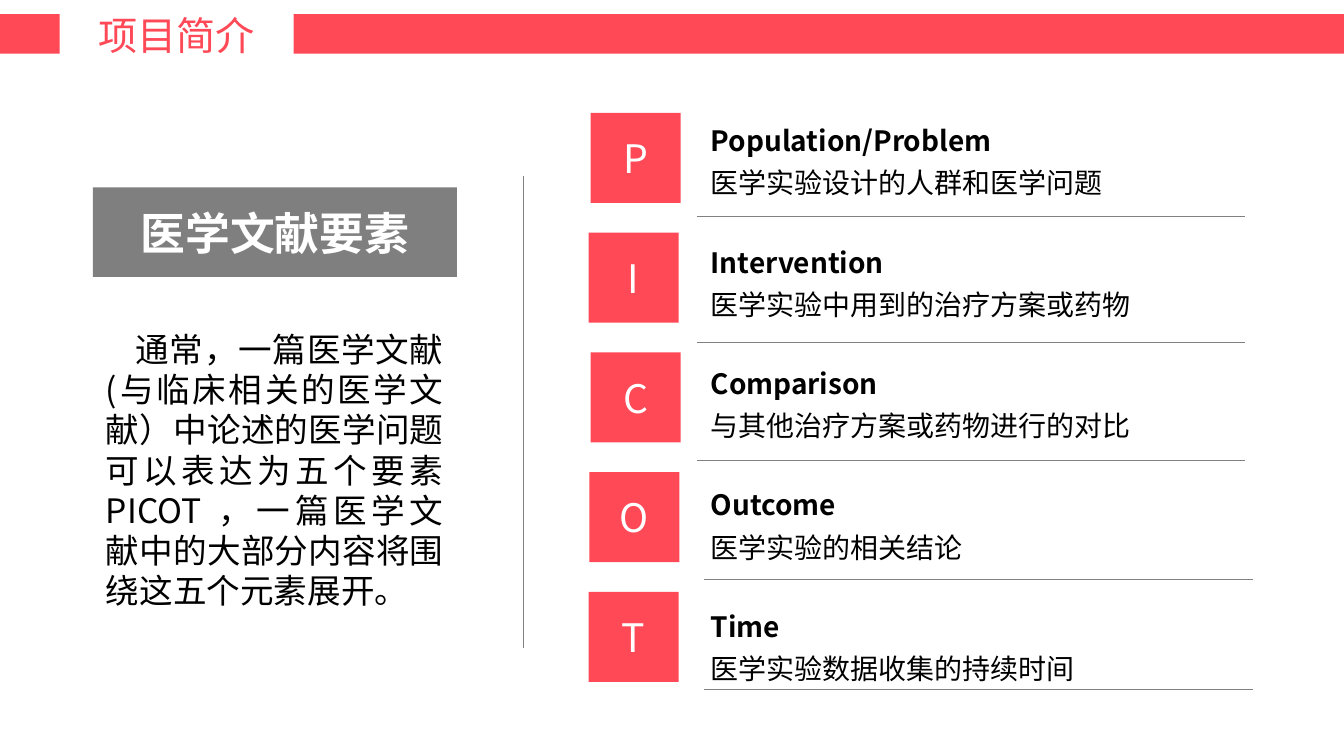
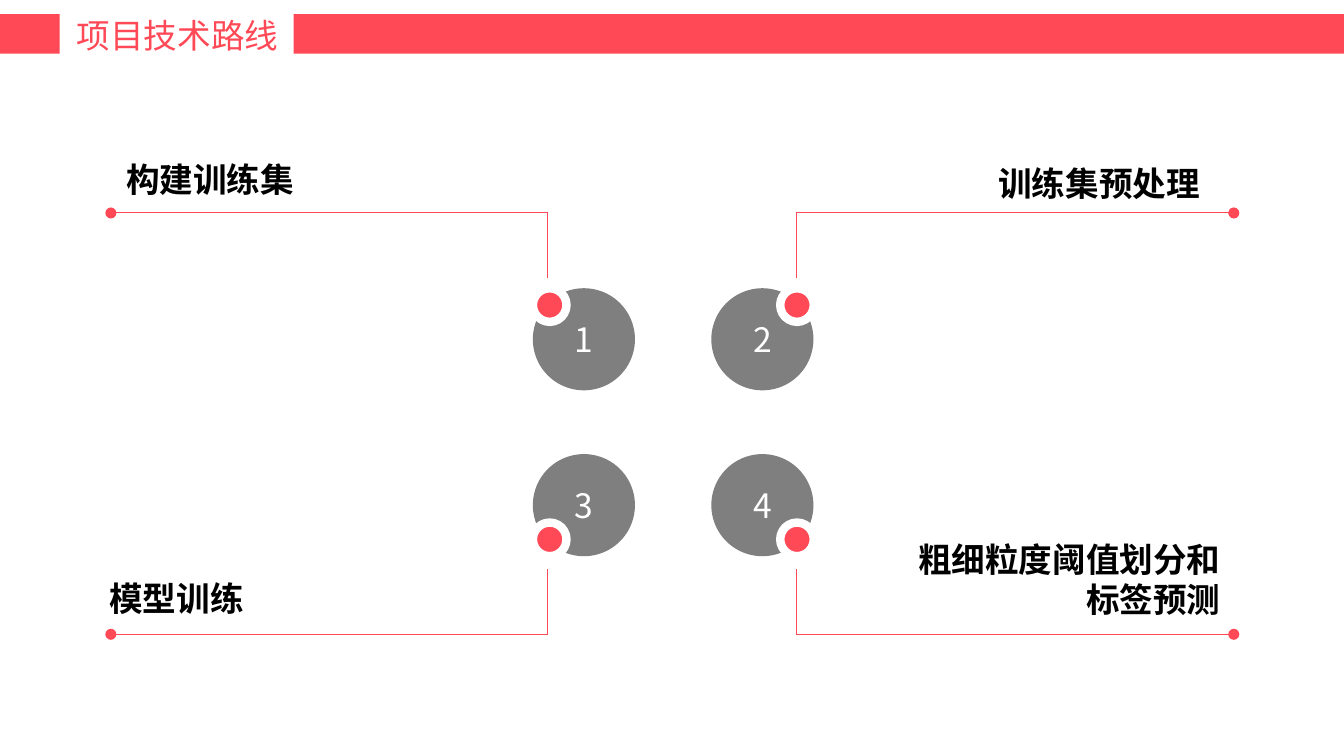
"""Build two slides: the PICOT elements and the four-step technical route."""
import lxml.etree
import pptx
import pptx.dml.color
import pptx.enum.shapes
import pptx.enum.text
import pptx.oxml.ns
import pptx.util

RED, GREY, RULE, WHITE, BLACK = "FF4957", "7F7F7F", "808080", "FFFFFF", "000000"
SANS = "Noto Sans CJK SC"
hue = pptx.dml.color.RGBColor.from_string
qn = pptx.oxml.ns.qn
Pt = pptx.util.Pt
Kind = pptx.enum.shapes.MSO_SHAPE
Align = pptx.enum.text.PP_ALIGN
Fit = pptx.enum.text.MSO_AUTO_SIZE
Anchor = pptx.enum.text.MSO_ANCHOR

deck = pptx.Presentation()
deck.slide_width = pptx.util.Inches(10)
deck.slide_height = deck.slide_width * 9 // 16
deck.element.find(qn("p:sldSz")).attrib.pop("type", None)
cell = deck.slide_width // 100


def put(page, box, kind=None, fill=None):
    """Add a filled shape, or a text box if no kind is given, at grid cells."""
    spot = [round(n * cell) for n in box]
    if kind is None:
        shape = page.shapes.add_textbox(*spot)
        shape.text_frame.word_wrap = True
        return shape
    shape = page.shapes.add_shape(kind, *spot)
    shape.shadow.inherit = False
    shape.fill.solid()
    shape.fill.fore_color.rgb = hue(fill)
    shape.line.fill.background()
    return shape


def write(shape, text, size, tint=BLACK, bold=False, align=Align.LEFT,
          gap=0, indent=0, face=SANS):
    """Add one paragraph holding one run."""
    frame = shape.text_frame
    para = frame.paragraphs[0]
    if para.runs:
        para = frame.add_paragraph()
    para.alignment = align
    para.space_before = Pt(gap)
    if indent:
        para._p.get_or_add_pPr().set("indent", str(round(indent * cell)))
    run = para.add_run()
    run.text = text
    font = run.font
    font.size, font.bold, font.name = Pt(size), bold, face
    font.color.rgb = hue(tint)
    east = lxml.etree.SubElement(run._r.get_or_add_rPr(), qn("a:ea"))
    east.set("typeface", SANS)


layout = deck.slide_layouts[5]
heads = [
    ("项目简介", 21, SANS, (6.5, 0.45, 13.3, 4.3)),
    ("项目技术路线", 18, "Montserrat", (4.9, 0.75, 16.6, 3.7)),
]
pages = []
for text, size, face, box in heads:
    page = deck.slides.add_slide(layout)
    title = page.shapes.title
    title.left, title.top, title.width, title.height = [round(n * cell) for n in box]
    frame = title.text_frame
    frame.word_wrap = False
    frame.auto_size = Fit.SHAPE_TO_FIT_TEXT
    frame.vertical_anchor = Anchor.MIDDLE
    frame.margin_left = frame.margin_right = round(0.7 * cell)
    frame.margin_top = frame.margin_bottom = round(0.4 * cell)
    write(title, text, size, RED, align=Align.CENTER, face=face)
    pages.append(page)
intro, route = pages

for left, width in [(0, 4.45), (21.85, 78.15)]:
    band = put(intro, (left, 1.05, width, 2.95), Kind.RECTANGLE, RED)
    layout.shapes.element.append(band.element)

topic = put(intro, (6.9, 13.95, 27.1, 6.65), Kind.RECTANGLE, GREY)
write(topic, "医学文献要素", 24, WHITE, True, Align.CENTER)
body = put(intro, (6.9, 23.95, 27.1, 25.9))
write(body, "通常，一篇医学文献(与临床相关的医学文献）中论述的医学问题可以表达为五个要素"
      "PICOT ，一篇医学文献中的大部分内容将围绕这五个元素展开。",
      18, align=Align.JUSTIFY, gap=4.5, indent=2.2)

lines = [(intro, (38.95, 13.1, 38.95, 48.25), RULE, False)]
items = [
    ("Population/Problem", "医学实验设计的人群和医学问题", 43.95, 51.85, 16.1),
    ("Intervention", "医学实验中用到的治疗方案或药物", 43.8, 51.85, 25.5),
    ("Comparison", "与其他治疗方案或药物进行的对比", 43.95, 51.85, 34.25),
    ("Outcome", "医学实验的相关结论", 43.85, 52.4, 43.1),
    ("Time", "医学实验数据收集的持续时间", 43.8, 52.4, 51.3),
]
for row, (name, note, left, start, base) in enumerate(items):
    tile = put(intro, (left, 8.4 + 8.91 * row, 6.7, 6.7), Kind.RECTANGLE, RED)
    write(tile, name[0], 21, WHITE, align=Align.CENTER)
    label = put(intro, (51.9, 8.7 + 9.04 * row, 44.4, 6.8))
    write(label, name, 15, bold=True, gap=4.5)
    write(label, note, 15, gap=4.5)
    lines.append((intro, (start, base, start + 40.8, base), RULE, False))

for step in range(4):
    row, col = divmod(step, 2)
    disc = put(route, (39.65 + 13.28 * col, 21.45 + 12.34 * row, 7.6, 7.6), Kind.OVAL, GREY)
    write(disc, str(step + 1), 18, WHITE, align=Align.CENTER)
    dot = put(route, (39.65 + 18.4 * col, 21.45 + 17.43 * row, 2.5, 2.5), Kind.OVAL, RED)
    dot.line.color.rgb = hue(WHITE)
    dot.line.width = Pt(4.5)
    stem, end = [(40.75, 8.25), (59.25, 91.8)][col]
    near, far = [(20.7, 15.85), (42.35, 47.2)][row]
    lines.append((route, (stem, near, stem, far), RED, False))
    lines.append((route, (stem, far, end, far), RED, True))

steps = [
    ("构建训练集", (8.4, 11.35, 27, 4), Align.LEFT, 0, 0),
    ("训练集预处理", (71, 11.6, 29, 4), Align.LEFT, 4.5, 2.3),
    ("模型训练", (3.7, 42.5, 24.7, 4), Align.LEFT, 4.5, 3.45),
    ("粗细粒度阈值划分和标签预测", (67.1, 39.6, 24.7, 7.1), Align.RIGHT, 4.5, 0),
]
for text, box, align, gap, indent in steps:
    write(put(route, box), text, 18, bold=True, align=align, gap=gap, indent=indent)

for page, ends, tint, oval in lines:
    line = page.shapes.add_connector(pptx.enum.shapes.MSO_CONNECTOR.STRAIGHT,
                                     *[round(n * cell) for n in ends])
    line.line.color.rgb = hue(tint)
    line.line.width = Pt(0.5)
    props = line.element.spPr
    if oval:
        lxml.etree.SubElement(props.find(qn("a:ln")), qn("a:tailEnd")).set("type", "oval")
    lxml.etree.SubElement(props, qn("a:effectLst"))

deck.save("out.pptx")
